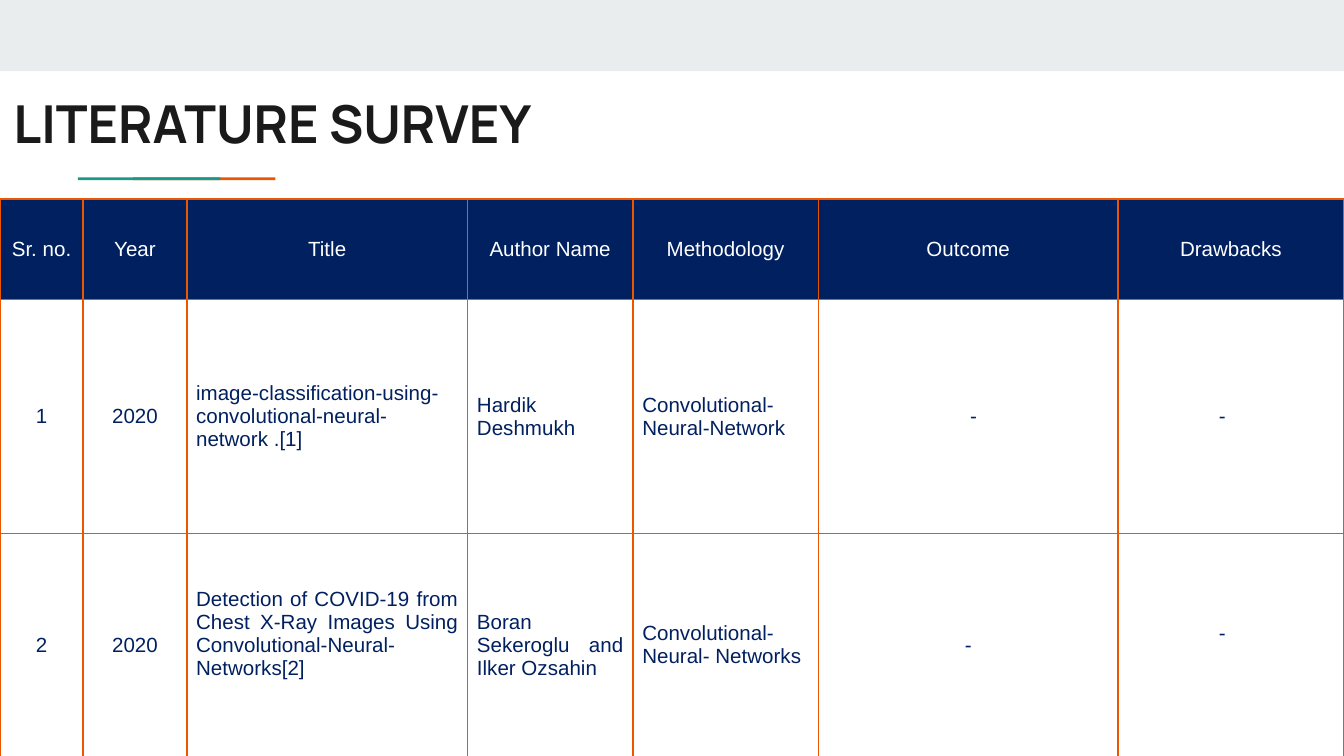
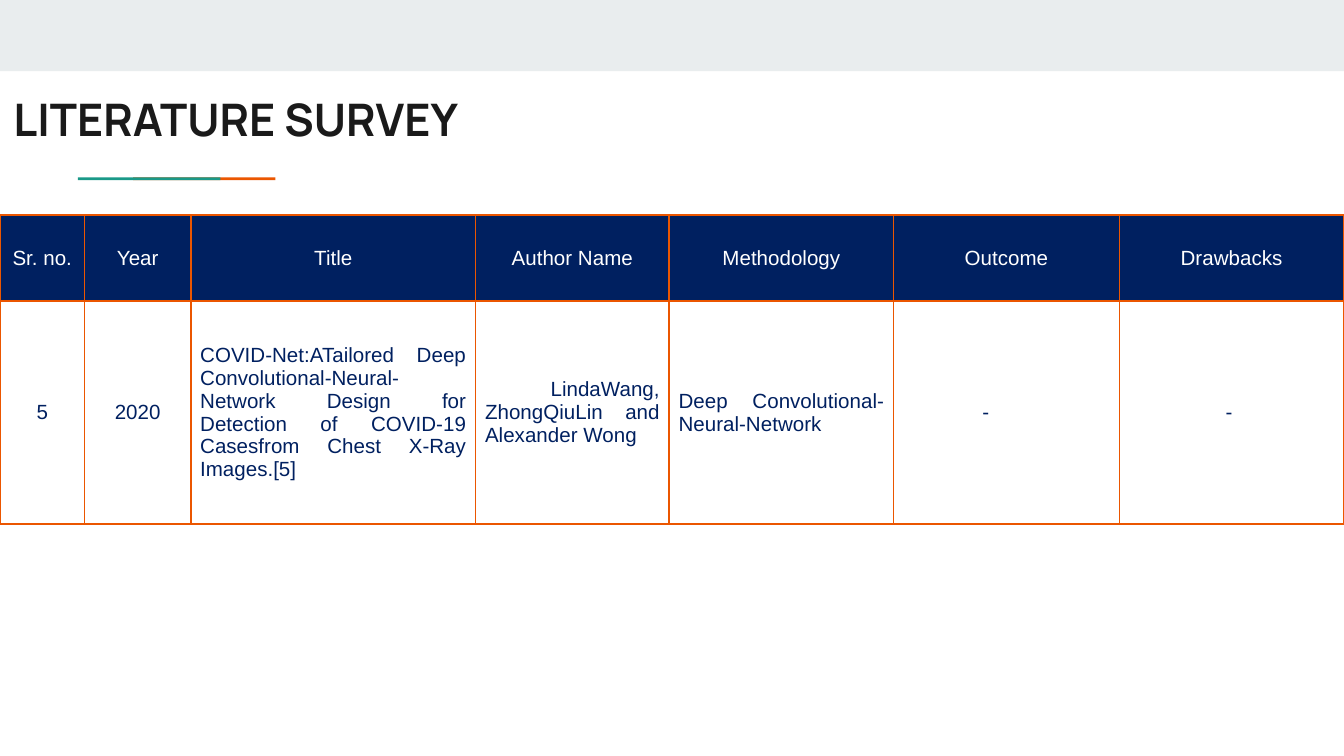
"""Build two literature survey slides, each with a title and a table of papers."""
from dataclasses import dataclass

from lxml.etree import SubElement
from pptx import Presentation
from pptx.dml.color import RGBColor
from pptx.enum.shapes import MSO_SHAPE
from pptx.enum.text import MSO_ANCHOR, MSO_AUTO_SIZE, PP_ALIGN
from pptx.oxml.ns import qn
from pptx.util import Inches, Pt


@dataclass(frozen=True)
class Theme:
    band: str = "E9EDEE"
    orange: str = "EB5600"
    green: str = "1A9988"
    ink: str = "1A1A1A"
    navy: str = "002060"
    white: str = "FFFFFF"
    title_font: str = "Manrope"
    table_font: str = "Arial"
    title_size: int = 28
    small_title_size: int = 24
    table_size: int = 11
    border_width: int = 1
    title_inset: float = 0.1
    cell_inset: float = 0.07


THEME = Theme()
HEADINGS = ["Sr. no.", "Year", "Title", "Author Name", "Methodology", "Outcome", "Drawbacks"]
CENTRED_COLUMNS = 2


@dataclass(frozen=True)
class Entry:
    text: str
    indent: float = 0
    lift: float = 0


class SurveyDeck:
    def __init__(self, theme):
        self.theme = theme
        self.deck = Presentation()
        self.deck.slide_width = Inches(10)
        self.deck.slide_height = Inches(10) * 9 // 16
        self.page = None

    def add_page(self, title, size):
        self.page = self.deck.slides.add_slide(self.deck.slide_layouts[5])
        self.add_bar(0, 0, 10, 0.53, self.theme.band)
        self.add_bar(0.99, 1.32, 1.06, 0.02, self.theme.orange)
        self.add_bar(0.58, 1.32, 1.06, 0.02, self.theme.green)
        self.set_title(title, size)

    def add_bar(self, left, top, width, height, color):
        bar = self.page.shapes.add_shape(
            MSO_SHAPE.RECTANGLE, Inches(left), Inches(top), Inches(width), Inches(height)
        )
        bar.shadow.inherit = False
        bar.fill.solid()
        bar.fill.fore_color.rgb = RGBColor.from_string(color)
        bar.line.fill.background()

    def set_title(self, text, size):
        box = self.page.shapes.title
        box.left, box.top = Inches(0), Inches(0.58)
        box.width, box.height = Inches(8.41), Inches(0.59)
        frame = box.text_frame
        frame.text = text
        frame.word_wrap = True
        frame.auto_size = MSO_AUTO_SIZE.NONE
        frame.vertical_anchor = MSO_ANCHOR.TOP
        self.set_insets(frame, self.theme.title_inset)
        para = frame.paragraphs[0]
        para.alignment = PP_ALIGN.LEFT
        self.style_text(para, self.theme.title_font, size, self.theme.ink, True)

    def set_insets(self, holder, inset):
        holder.margin_left = holder.margin_right = Inches(inset)
        holder.margin_top = holder.margin_bottom = Inches(inset)

    def style_text(self, para, font_name, size, color, bold=False):
        for span in para.runs:
            span.font.name = font_name
            span.font.size = Pt(size)
            span.font.bold = bold
            span.font.color.rgb = RGBColor.from_string(color)

    def add_table(self, top, widths, heights, papers):
        rows = [[Entry(heading) for heading in HEADINGS], *papers]
        table = self.page.shapes.add_table(
            len(rows), len(widths), Inches(0), Inches(top),
            Inches(sum(widths)), Inches(sum(heights)),
        ).table
        table.first_row = table.horz_banding = False
        for column, width in zip(table.columns, widths):
            column.width = Inches(width)
        for row, height in zip(table.rows, heights):
            row.height = Inches(height)
        for row_index, entries in enumerate(rows):
            for column_index, entry in enumerate(entries):
                is_heading = row_index == 0
                centred = is_heading or column_index < CENTRED_COLUMNS
                self.fill_cell(table.cell(row_index, column_index), entry, is_heading, centred)

    def fill_cell(self, cell, entry, is_heading, centred):
        theme = self.theme
        cell.text_frame.text = entry.text
        cell.vertical_anchor = MSO_ANCHOR.MIDDLE
        self.set_insets(cell, theme.cell_inset)
        cell.margin_bottom = Inches(theme.cell_inset + entry.lift)
        para = cell.text_frame.paragraphs[0]
        para.alignment = PP_ALIGN.CENTER if centred else PP_ALIGN.JUSTIFY
        if entry.indent:
            para._p.get_or_add_pPr().set("marL", str(Inches(entry.indent)))
        color = theme.white if is_heading else theme.navy
        self.style_text(para, theme.table_font, theme.table_size, color)
        self.draw_borders(cell)
        if is_heading:
            cell.fill.solid()
            cell.fill.fore_color.rgb = RGBColor.from_string(theme.navy)
        else:
            cell.fill.background()

    def draw_borders(self, cell):
        properties = cell._tc.get_or_add_tcPr()
        for side in ("lnL", "lnR", "lnT", "lnB"):
            line = SubElement(properties, qn(f"a:{side}"), w=str(Pt(self.theme.border_width)))
            fill = SubElement(line, qn("a:solidFill"))
            SubElement(fill, qn("a:srgbClr"), val=self.theme.orange)

    def save(self):
        self.deck.save("out.pptx")


def main():
    survey = SurveyDeck(THEME)

    survey.add_page("LITERATURE SURVEY", THEME.title_size)
    survey.add_table(
        1.48,
        [0.62, 0.77, 2.09, 1.23, 1.38, 2.23, 1.68],
        [0.75, 1.74, 1.66],
        [
            [
                Entry("1"),
                Entry("2020"),
                Entry("image-classification-using-convolutional-neural-network .[1]"),
                Entry("Hardik Deshmukh"),
                Entry("Convolutional-Neural-Network"),
                Entry("-", indent=1.06),
                Entry("-", indent=0.68),
            ],
            [
                Entry("2"),
                Entry("2020"),
                Entry("Detection of COVID-19 from Chest X-Ray Images Using "
                      "Convolutional-Neural- Networks[2]", lift=0.17),
                Entry("Boran Sekeroglu and Ilker Ozsahin"),
                Entry("Convolutional-Neural- Networks"),
                Entry("-", indent=1.02),
                Entry("-", indent=0.68, lift=0.17),
            ],
        ],
    )

    survey.add_page("LITERATURE SURVEY", THEME.small_title_size)
    survey.add_table(
        1.6,
        [0.63, 0.79, 2.12, 1.44, 1.67, 1.68, 1.67],
        [0.64, 1.66],
        [
            [
                Entry("5"),
                Entry("2020"),
                Entry("COVID-Net:ATailored Deep Convolutional-Neural-Network Design for "
                      "Detection of COVID-19 Casesfrom Chest X-Ray Images.[5]"),
                Entry(" LindaWang, ZhongQiuLin and Alexander Wong"),
                Entry("Deep Convolutional-Neural-Network"),
                Entry("-", indent=0.59),
                Entry("-", indent=0.72),
            ],
        ],
    )
    survey.save()


if __name__ == "__main__":
    main()
